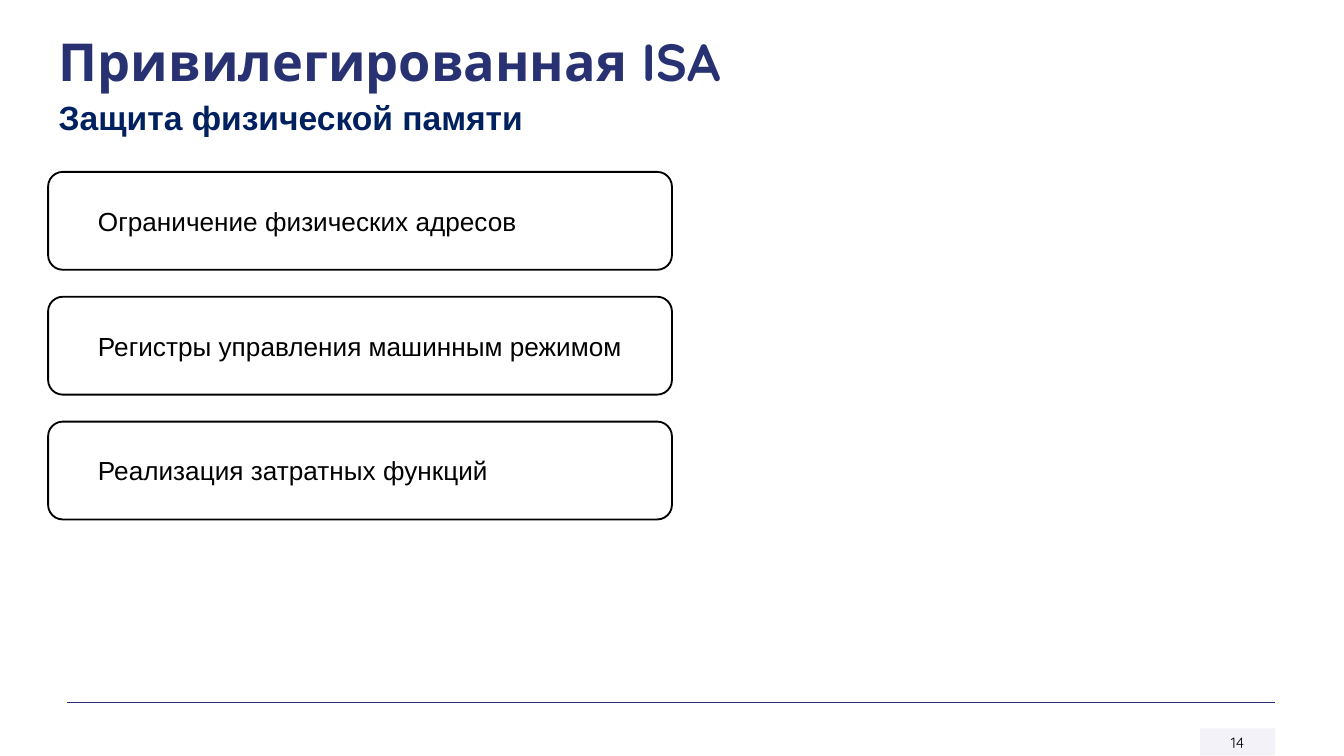
from lxml.etree import SubElement
from pptx import Presentation
from pptx.dml.color import RGBColor
from pptx.enum.shapes import MSO_CONNECTOR, MSO_SHAPE
from pptx.enum.text import MSO_ANCHOR, PP_ALIGN
from pptx.oxml.ns import qn
from pptx.util import Cm, Pt

NAVY = "283272"
BLACK = "000000"
TOPICS = [
    "Ограничение физических адресов",
    "Регистры управления машинным режимом",
    "Реализация затратных функций",
]


def color(value):
    return RGBColor.from_string(value)


def write(shape, text, size, font="Arial", fill=BLACK, bold=False,
          align=PP_ALIGN.LEFT, anchor=MSO_ANCHOR.TOP, insets=(0.25, 0.13), indent=0):
    frame = shape.text_frame
    frame.word_wrap = True
    frame.vertical_anchor = anchor
    frame.margin_left = frame.margin_right = Cm(insets[0])
    frame.margin_top = frame.margin_bottom = Cm(insets[1])
    paragraph = frame.paragraphs[0]
    paragraph.alignment = align
    if indent:
        paragraph._p.get_or_add_pPr().set("indent", str(Cm(indent)))
    run = paragraph.add_run()
    run.text = text
    run.font.name = font
    run.font.size = Pt(size)
    run.font.bold = bold
    run.font.color.rgb = color(fill)


def add_heading(slide, text, top, width, height, **style):
    heading = slide.shapes.add_textbox(Cm(0.86), Cm(top), Cm(width), Cm(height))
    write(heading, text, bold=True, **style)


def add_topic(slide, text, top):
    topic = slide.shapes.add_shape(
        MSO_SHAPE.ROUNDED_RECTANGLE, Cm(0.91), Cm(top), Cm(11.79), Cm(1.85))
    topic.adjustments[0] = 0.15
    topic.shadow.inherit = False
    topic.fill.background()
    topic.line.color.rgb = color(BLACK)
    topic.line.width = Pt(1)
    write(topic, text, 14, anchor=MSO_ANCHOR.MIDDLE, insets=(0.15, 0.15), indent=0.71)


def add_page_number(slide, number):
    badge = slide.shapes.add_shape(
        MSO_SHAPE.RECTANGLE, Cm(22.68), Cm(13.77), Cm(1.42), Cm(0.51))
    badge.shadow.inherit = False
    badge.fill.solid()
    badge.fill.fore_color.rgb = color("F3F1F9")
    tint = badge._element.spPr.find(qn("a:solidFill"))[0]
    SubElement(tint, qn("a:alpha"), val="90000")
    badge.line.fill.background()
    write(badge, number, 8, font="Quicksand", align=PP_ALIGN.CENTER, insets=(0.18, 0.1))


def add_footer_rule(slide):
    rule = slide.shapes.add_connector(
        MSO_CONNECTOR.STRAIGHT, Cm(1.27), Cm(13.28), Cm(24.1), Cm(13.28))
    rule.line.color.rgb = color(NAVY)
    rule.line.width = Pt(1)
    SubElement(rule._element.spPr, qn("a:effectLst"))


def main():
    deck = Presentation()
    deck.slide_width, deck.slide_height = Cm(25.4), Cm(14.29)
    slide = deck.slides.add_slide(deck.slide_layouts[6])
    add_page_number(slide, "14")
    add_footer_rule(slide)
    add_heading(slide, "Привилегированная ISA", 0.3, 19.38, 0.89,
                size=28, font="Quicksand", fill=NAVY, insets=(0.25, 0.25))
    add_heading(slide, "Защита физической памяти", 1.7, 12.7, 1.02,
                size=18, fill="002060")
    for row, topic in enumerate(TOPICS):
        add_topic(slide, topic, 3.25 + row * 2.36)
    deck.save("out.pptx")


if __name__ == "__main__":
    main()
